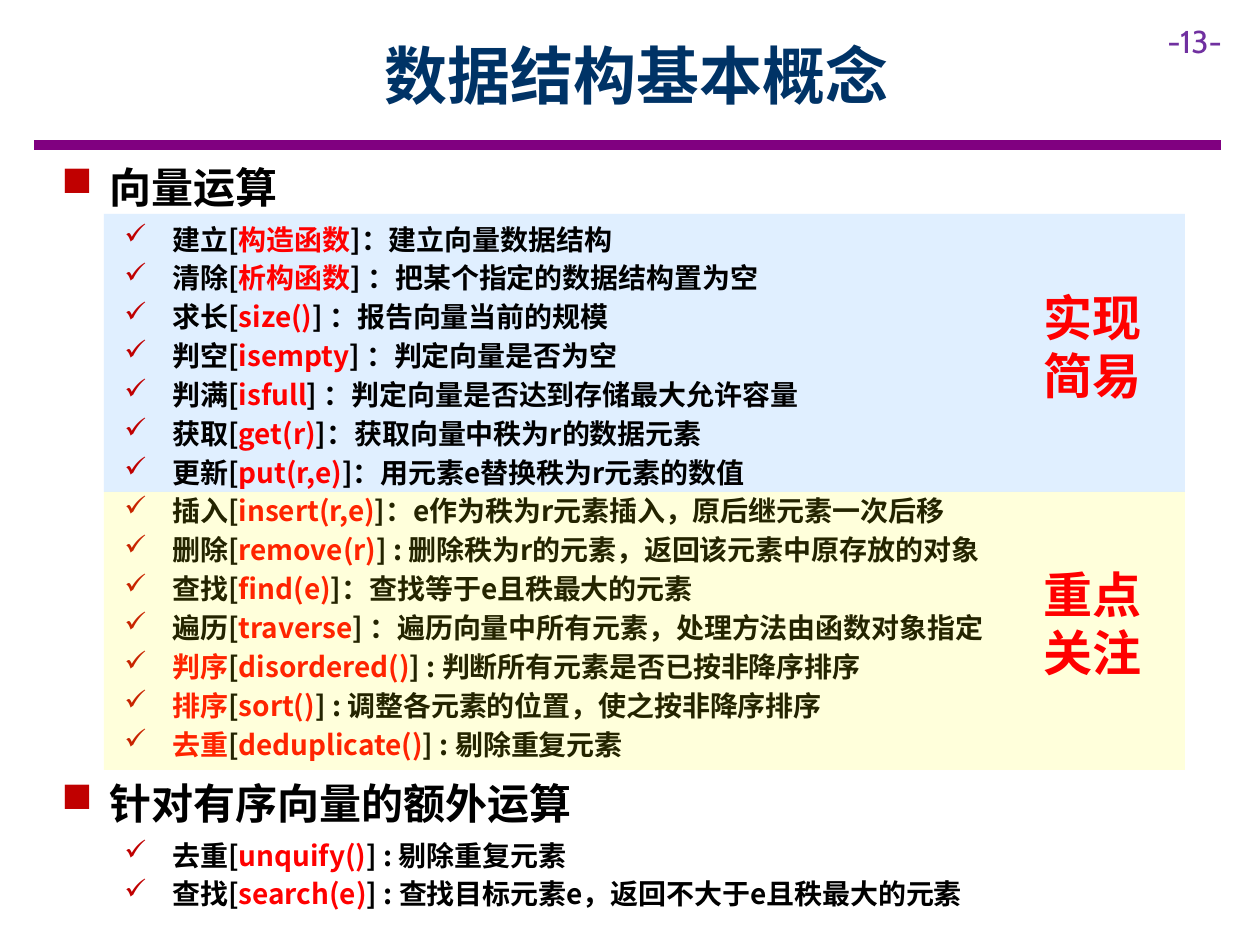
from lxml import etree
from pptx import Presentation
from pptx import util as u
from pptx.dml.color import RGBColor
from pptx.enum import shapes, text
from pptx.oxml.ns import qn

COLORS = {
    "black": "000000", "white": "FFFFFF", "red": "FF0000", "bullet": "C00000",
    "navy": "003366", "violet": "7030A0", "purple": "800080",
    "blue": "99CCFF", "yellow": "FFFF00",
}
CJK, LATIN = "Noto Sans CJK SC", "Cabin"
TITLE = "数据结构基本概念"
PAGE_NUMBER = "-13-"

BASIC = ("向量运算", [
    ("建立", "black", "构造函数", "]：建立向量数据结构"),
    ("清除", "black", "析构函数", "] ：把某个指定的数据结构置为空"),
    ("求长", "black", "size()", "] ：报告向量当前的规模"),
    ("判空", "black", "isempty", "] ：判定向量是否为空"),
    ("判满", "black", "isfull", "] ：判定向量是否达到存储最大允许容量"),
    ("获取", "black", "get(r)", "]：获取向量中秩为r的数据元素"),
    ("更新", "black", "put(r,e)", "]：用元素e替换秩为r元素的数值"),
    ("插入", "black", "insert(r,e)", "]：e作为秩为r元素插入，原后继元素一次后移"),
    ("删除", "black", "remove(r)", "] : 删除秩为r的元素，返回该元素中原存放的对象"),
    ("查找", "black", "find(e)", "]：查找等于e且秩最大的元素"),
    ("遍历", "black", "traverse", "] ：遍历向量中所有元素，处理方法由函数对象指定"),
    ("判序", "red", "disordered()", "] : 判断所有元素是否已按非降序排序"),
    ("排序", "red", "sort()", "] : 调整各元素的位置，使之按非降序排序"),
    ("去重", "red", "deduplicate()", "] : 剔除重复元素"),
])
SORTED = ("针对有序向量的额外运算", [
    ("去重", "black", "unquify()", "] : 剔除重复元素"),
    ("查找", "black", "search(e)", "] : 查找目标元素e，返回不大于e且秩最大的元素"),
])
LINE_RATIO = 1.2
PX = 914400 / 126


def px(*values):
    return [u.Emu(round(value * PX)) for value in values]


def color(name):
    return RGBColor.from_string(COLORS[name])


def add_run(paragraph, content, size, fill, font=CJK, bold=True):
    run = paragraph.add_run()
    run.text = content
    for key, value in {"name": font, "size": u.Pt(size), "bold": bold}.items():
        setattr(run.font, key, value)
    run.font.color.rgb = color(fill)
    east_asian = etree.SubElement(run.font._element, qn("a:ea"))
    east_asian.set("typeface", font)


def add_box(slide, box):
    shape = slide.shapes.add_textbox(*px(*box))
    shape.text_frame.word_wrap = True
    return shape.text_frame


def add_band(slide, box, fill, opacity):
    shape = slide.shapes.add_shape(shapes.MSO_SHAPE.RECTANGLE, *px(*box))
    shape.shadow.inherit = False
    shape.line.fill.background()
    shape.fill.solid()
    shape.fill.fore_color.rgb = color(fill)
    solid = shape._element.spPr.find(qn("a:solidFill"))
    etree.SubElement(solid[0], qn("a:alpha")).set("val", str(opacity * 1000))


def format_item(paragraph, level, size, after, indent, bullet):
    formats = {"level": level, "space_after": u.Pt(after),
               "line_spacing": u.Pt(size * LINE_RATIO)}
    for key, value in formats.items():
        setattr(paragraph, key, value)
    properties = paragraph._p.get_or_add_pPr()
    left, hanging = px(indent, -48)
    properties.set("marL", str(left))
    properties.set("indent", str(hanging))
    bullet_color = etree.SubElement(properties, qn("a:buClr"))
    etree.SubElement(bullet_color, qn("a:srgbClr")).set("val", COLORS["bullet"])
    etree.SubElement(properties, qn("a:buChar")).set("char", bullet)


def add_section(slide, box, section):
    heading, operations = section
    frame = add_box(slide, box)
    paragraph = frame.paragraphs[0]
    format_item(paragraph, 0, 24, 6, 48, "■")
    add_run(paragraph, heading, 24, "black")
    for name, name_color, function, meaning in operations:
        paragraph = frame.add_paragraph()
        format_item(paragraph, 1, 16, 3, 111, "✓")
        for content, fill in ((name, name_color), ("[", "black"),
                              (function, "red"), (meaning, "black")):
            add_run(paragraph, content, 16, fill)


def add_note(slide, box, content):
    paragraph = add_box(slide, box).paragraphs[0]
    paragraph.line_spacing = u.Pt(28 * LINE_RATIO)
    add_run(paragraph, content, 28, "red")


def main():
    presentation = Presentation()
    presentation.slide_width, presentation.slide_height = px(1260, 945)
    slide = presentation.slides.add_slide(presentation.slide_layouts[6])

    rule = slide.shapes.add_connector(
        shapes.MSO_CONNECTOR.STRAIGHT, *px(34, 145, 1221, 145))
    rule.line.width = u.Pt(6)
    rule.line.color.rgb = color("purple")
    etree.SubElement(rule._element.spPr, qn("a:effectLst"))

    add_run(add_box(slide, (1155, 16, 105, 50)).paragraphs[0],
            PAGE_NUMBER, 18, "violet", LATIN, False)

    add_band(slide, (104, 214, 1081, 278), "blue", 30)
    add_section(slide, (49, 155, 1211, 619), BASIC)
    add_band(slide, (104, 492, 1081, 278), "yellow", 14)
    add_section(slide, (49, 771, 1211, 147), SORTED)

    title = add_box(slide, (113, 11, 1047, 126))
    title.vertical_anchor = text.MSO_ANCHOR.MIDDLE
    title.paragraphs[0].alignment = text.PP_ALIGN.CENTER
    add_run(title.paragraphs[0], TITLE, 36, "navy")

    for top, content in ((281, "实现简易"), (558, "重点关注")):
        add_note(slide, (1031, top, 129, 131), content)

    presentation.save("out.pptx")


if __name__ == "__main__":
    main()
